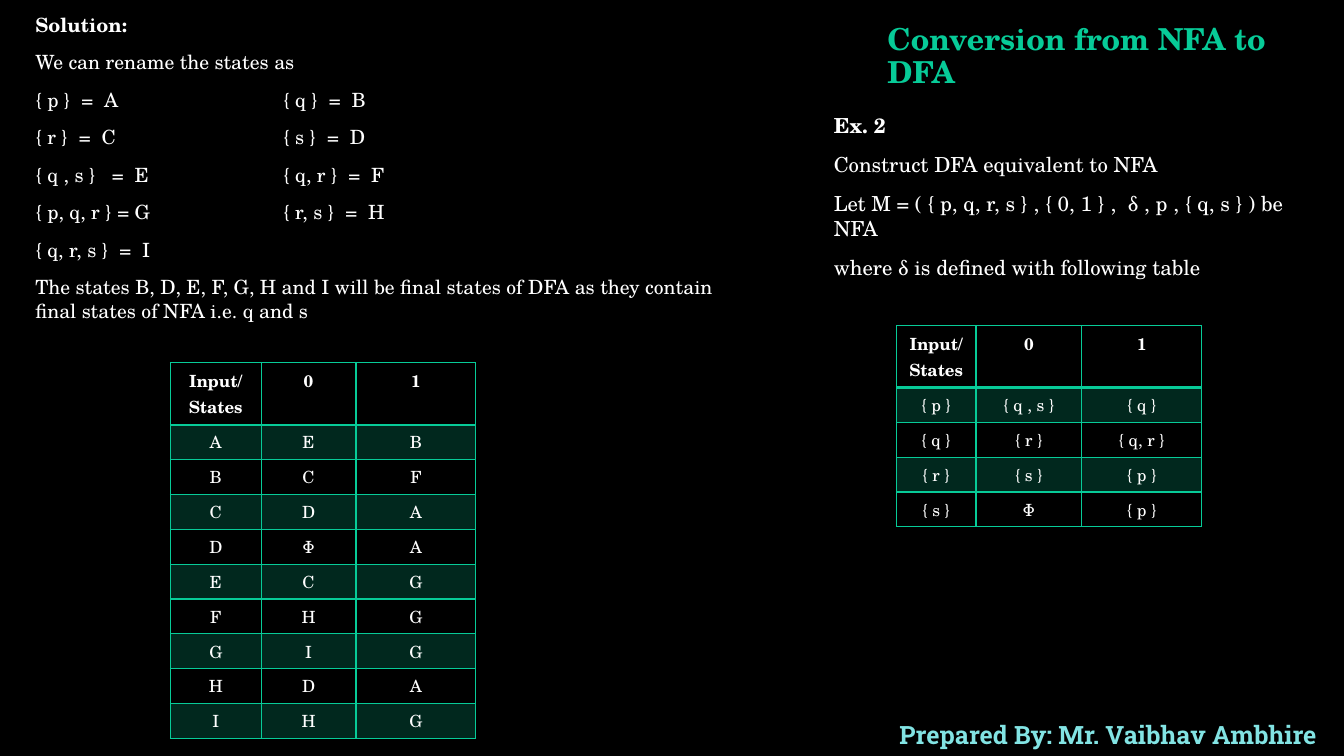
from lxml import etree
from pptx import Presentation
from pptx.dml.color import RGBColor
from pptx.enum.text import MSO_ANCHOR, MSO_AUTO_SIZE, PP_ALIGN
from pptx.oxml.ns import qn
from pptx.util import Inches, Pt

LEFT, CENTER = PP_ALIGN.LEFT, PP_ALIGN.CENTER
TOP, MIDDLE = MSO_ANCHOR.TOP, MSO_ANCHOR.MIDDLE
NO_AUTOFIT = MSO_AUTO_SIZE.NONE

BLACK = RGBColor(0x00, 0x00, 0x00)
WHITE = RGBColor(0xFF, 0xFF, 0xFF)
GREEN = RGBColor(0x07, 0xCB, 0x98)
AQUA = RGBColor(0x82, 0xE3, 0xE3)

SERIF = "TeX Gyre Schola"
SLAB = "Roboto Slab"
TWO_CONTENT_LAYOUT = 3
BAND_ALPHA = 20000

SOLUTION = [
    "Solution:",
    "We can rename the states as",
    "{ p }  =  A",
    "{ r }  =  C",
    "{ q , s }   =  E",
    "{ p, q, r } = G",
    "{ q, r, s }  =  I",
    "The states B, D, E, F, G, H and I will be final states of DFA "
    "as they contain final states of NFA i.e. q and s",
]
SECOND_COLUMN = [
    "{ q }  =  B",
    "{ s }  =  D",
    "{ q, r }  =  F",
    "{ r, s }  =  H",
]
EXAMPLE = [
    "Ex. 2",
    "Construct DFA equivalent to NFA",
    "Let M = ( { p, q, r, s } , { 0, 1 } ,  δ , p , { q, s } ) be NFA",
    "where δ is defined with following table",
]
NFA_ROWS = [
    ["Input/States", "0", "1"],
    ["{ p }", "{ q , s }", "{ q }"],
    ["{ q }", "{ r }", "{ q, r }"],
    ["{ r }", "{ s }", "{ p }"],
    ["{ s }", "Φ", "{ p }"],
]
DFA_ROWS = [["Input/\nStates", "0", "1"]] + [
    list(states) for states in
    ("AEB", "BCF", "CDA", "DΦA", "ECG", "FHG", "GIG", "HDA", "IHG")
]


def place(shape, left, top, width, height):
    shape.left, shape.top = Inches(left), Inches(top)
    shape.width, shape.height = Inches(width), Inches(height)


def add_text_box(slide, left, top, width, height):
    box = slide.shapes.add_textbox(
        Inches(left), Inches(top), Inches(width), Inches(height))
    box.text_frame.word_wrap = True
    return box


def format_paragraph(paragraph, size, color, bold=False, font=SERIF,
                     alignment=LEFT, line_spacing=1.0):
    paragraph.alignment = alignment
    paragraph.line_spacing = line_spacing
    for run in paragraph.runs:
        run.font.name = font
        run.font.size = Pt(size)
        run.font.bold = bold
        run.font.color.rgb = color


def remove_bullet(paragraph):
    properties = paragraph._p.get_or_add_pPr()
    properties.set("marL", "0")
    properties.set("indent", "0")
    etree.SubElement(properties, qn("a:buNone"))


def fill_title(title):
    place(title, 8.7, 0.07, 4.18, 1)
    frame = title.text_frame
    frame.text = "Conversion from NFA to DFA"
    frame.auto_size = NO_AUTOFIT
    frame.vertical_anchor = MIDDLE
    format_paragraph(frame.paragraphs[0], 21.6, GREEN, bold=True, line_spacing=0.9)


def fill_body(body, lines, size, bold_first=True, first_spacing=1.0):
    """Write one paragraph a line, the first one bold if it is a heading."""
    frame = body.text_frame
    frame.text = "\n".join(lines)
    frame.auto_size = NO_AUTOFIT
    frame.vertical_anchor = TOP
    for index, paragraph in enumerate(frame.paragraphs):
        first = index == 0
        format_paragraph(paragraph, size, WHITE, bold=first and bold_first,
                         line_spacing=first_spacing if first else 1.0)
        paragraph.space_before = Pt(0 if first else 10)
        remove_bullet(paragraph)


def set_borders(cell, top, bottom):
    properties = cell._tc.get_or_add_tcPr()
    widths = {"a:lnL": 1, "a:lnR": 1, "a:lnT": top, "a:lnB": bottom}
    for index, (tag, width) in enumerate(widths.items()):
        line = etree.Element(qn(tag), w=str(Pt(width)))
        fill = etree.SubElement(line, qn("a:solidFill"))
        etree.SubElement(fill, qn("a:srgbClr"), val=str(GREEN))
        properties.insert(index, line)


def fill_band(cell):
    cell.fill.solid()
    cell.fill.fore_color.rgb = GREEN
    color = cell._tc.tcPr.find(".//" + qn("a:srgbClr"))
    etree.SubElement(color, qn("a:alpha"), val=str(BAND_ALPHA))


def add_transition_table(slide, left, top, rows, widths, header_height):
    heights = [header_height] + [0.34] * (len(rows) - 1)
    table = slide.shapes.add_table(
        len(rows), len(widths), Inches(left), Inches(top),
        Inches(sum(widths)), Inches(sum(heights))).table
    table.horz_banding = False
    for column, width in zip(table.columns, widths):
        column.width = Inches(width)
    for index, (row, height, texts) in enumerate(zip(table.rows, heights, rows)):
        row.height = Inches(height)
        header = index == 0
        for cell, text in zip(row.cells, texts):
            cell.text = text
            for paragraph in cell.text_frame.paragraphs:
                format_paragraph(paragraph, 12, WHITE, bold=header, alignment=CENTER)
            if index % 2:
                fill_band(cell)
            else:
                cell.fill.background()
            set_borders(cell, top=2 if index == 1 else 1, bottom=2 if header else 1)


def add_author(slide):
    frame = add_text_box(slide, 8.64, 7.09, 4.7, 0.4).text_frame
    frame.text = "Prepared By: Mr. Vaibhav Ambhire"
    format_paragraph(frame.paragraphs[0], 18, AQUA, bold=True, font=SLAB,
                     alignment=CENTER)


def main():
    presentation = Presentation()
    presentation.slide_width = Inches(13.33)
    presentation.slide_height = Inches(7.5)
    slide = presentation.slides.add_slide(presentation.slide_layouts[TWO_CONTENT_LAYOUT])
    slide.background.fill.solid()
    slide.background.fill.fore_color.rgb = BLACK

    # Title and text
    title, solution, example = slide.placeholders
    fill_title(title)
    place(solution, 0.25, -0.09, 7.05, 3.38)
    fill_body(solution, SOLUTION, 14, first_spacing=1.7)
    second_column = add_text_box(slide, 2.71, 0.82, 2, 1.5)
    fill_body(second_column, SECOND_COLUMN, 14, bold_first=False)
    place(example, 8.17, 1.07, 5.08, 1.95)
    fill_body(example, EXAMPLE, 14.8)

    # Transition tables
    add_transition_table(slide, 8.89, 3.23, NFA_ROWS, [0.79, 1.05, 1.19], 0.48)
    add_transition_table(slide, 1.69, 3.6, DFA_ROWS, [0.9, 0.94, 1.19], 0.5)

    # Author line
    add_author(slide)
    presentation.save("out.pptx")


if __name__ == "__main__":
    main()
